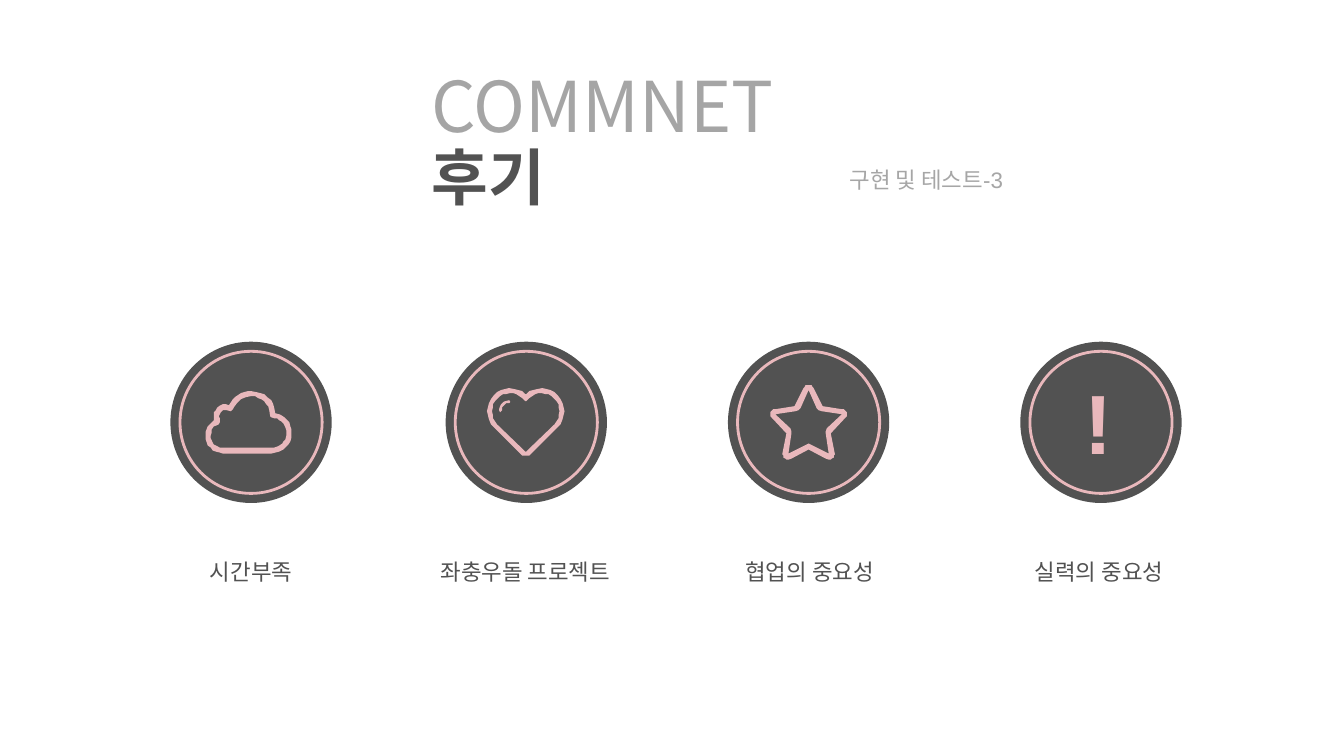
from dataclasses import dataclass

from pptx import Presentation
from pptx.dml.color import RGBColor
from pptx.enum.shapes import MSO_SHAPE
from pptx.enum.text import MSO_ANCHOR, MSO_AUTO_SIZE, PP_ALIGN
from pptx.shapes.base import BaseShape
from pptx.slide import Slide
from pptx.text.text import TextFrame, _Paragraph
from pptx.util import Inches, Pt

CHARCOAL, PINK, GRAY, LIGHT_GRAY = "525252", "E9B8BC", "A5A5A5", "A6A6A6"
DISC_MIDDLE = 4.19
DISC_SIZE, RING_SIZE = 1.6, 1.41
LABEL_TOP, LABEL_WIDTH, LABEL_HEIGHT = 5.49, 2.92, 0.45

Point = tuple[int, int]
Contour = list[Point]


@dataclass(frozen=True)
class Lesson:
    label: str
    center: float
    label_left: float
    icon: tuple[Contour, ...] = ()


def mirrored(half: Contour, double_axis: int) -> Contour:
    """Close a left half by reflecting it about x = double_axis / 2."""
    return half + [(double_axis - x, y) for x, y in reversed(half)]


# Icon outlines, in hundredths of an inch on the slide
CLOUD = (
    [(273, 410), (272, 405), (271, 401), (269, 397), (265, 394), (262, 391),
     (258, 390), (254, 389), (249, 388), (246, 388), (242, 389), (239, 390),
     (236, 392), (233, 394), (231, 396), (229, 399), (227, 402), (224, 401),
     (221, 401), (219, 402), (217, 403), (215, 405), (214, 407), (212, 409),
     (212, 417), (209, 420), (206, 423), (204, 428), (204, 436), (205, 439),
     (206, 442), (209, 444), (211, 447), (214, 448), (218, 449), (221, 450),
     (269, 450), (273, 449), (277, 448), (281, 446), (283, 444), (286, 441),
     (288, 438), (289, 434), (289, 426), (288, 423), (287, 419), (285, 417),
     (282, 414), (279, 412), (277, 411)],
    [(269, 444), (218, 444), (214, 442), (212, 441), (211, 439), (210, 437),
     (209, 435), (209, 432), (210, 429), (210, 426), (212, 423), (215, 422),
     (217, 421), (218, 419), (218, 415), (217, 413), (218, 411), (219, 409),
     (221, 407), (225, 407), (229, 408), (231, 406), (232, 404), (235, 400),
     (239, 396), (244, 394), (249, 393), (253, 393), (256, 395), (259, 396),
     (262, 398), (264, 401), (266, 403), (267, 407), (268, 413), (269, 414),
     (272, 415), (275, 415), (277, 417), (279, 418), (281, 420), (282, 422),
     (283, 424), (284, 427), (284, 432), (283, 436), (281, 438), (280, 440),
     (277, 442), (275, 443), (272, 444)],
)
HEART = (
    mirrored([(521, 391), (518, 388), (514, 387), (510, 386), (505, 385),
              (501, 386), (497, 387), (493, 389), (490, 392), (487, 396),
              (485, 400), (484, 404), (483, 408), (484, 412), (485, 416),
              (487, 421), (490, 424), (516, 450), (518, 452), (521, 452)], 1043),
    mirrored([(521, 398), (518, 395), (515, 393), (512, 391), (509, 390),
              (506, 390), (502, 391), (499, 391), (496, 393), (493, 396),
              (491, 398), (489, 401), (489, 404), (488, 408), (489, 412),
              (489, 415), (491, 418), (493, 421), (520, 447), (521, 448)], 1043),
)
HEART_GLINT = (
    [(505, 397), (501, 398), (499, 399), (498, 400), (497, 401), (496, 403),
     (495, 406), (495, 407), (496, 409), (498, 407), (498, 404), (500, 402),
     (502, 400), (505, 400), (506, 399), (506, 398)],
)
STAR = (
    mirrored([(802, 382), (800, 382), (799, 382), (798, 384), (797, 385),
              (788, 403), (769, 406), (767, 406), (766, 407), (765, 408),
              (764, 409), (764, 413), (766, 415), (780, 430), (776, 450),
              (776, 451), (777, 452), (777, 454), (779, 455), (780, 456),
              (782, 456), (785, 455), (802, 446)], 1604),
    mirrored([(802, 387), (794, 405), (792, 407), (789, 408), (769, 411),
              (784, 425), (785, 428), (785, 430), (782, 450), (800, 441),
              (802, 440)], 1604),
)

LESSONS = [
    Lesson("시간부족", 2.49, 1.03, CLOUD),
    Lesson("좌충우돌 프로젝트", 5.22, 3.75, HEART),
    Lesson("협업의 중요성", 8.02, 6.57, STAR),
    Lesson("실력의 중요성", 10.92, 9.44),
]


def color(value: str) -> RGBColor:
    return RGBColor.from_string(value)


def place(shape: BaseShape, left: float, top: float, width: float, height: float) -> None:
    shape.left, shape.top = Inches(left), Inches(top)
    shape.width, shape.height = Inches(width), Inches(height)


def add_run(paragraph: _Paragraph, text: str, size: int, font: str, fill: str,
            bold: bool = False) -> None:
    run = paragraph.add_run()
    run.text = text
    run.font.size, run.font.name, run.font.bold = Pt(size), font, bold
    run.font.color.rgb = color(fill)


def add_text_frame(slide: Slide, left: float, top: float, width: float, height: float,
                   wrap: bool = True) -> TextFrame:
    box = slide.shapes.add_textbox(Inches(left), Inches(top), Inches(width), Inches(height))
    box.text_frame.word_wrap = wrap
    box.text_frame.auto_size = MSO_AUTO_SIZE.SHAPE_TO_FIT_TEXT
    return box.text_frame


def add_title(slide: Slide) -> None:
    title = slide.shapes.title
    place(title, 4.18, 0.66, 5.04, 0.94)
    frame = title.text_frame
    frame.word_wrap = True
    frame.auto_size = MSO_AUTO_SIZE.SHAPE_TO_FIT_TEXT
    frame.vertical_anchor = MSO_ANCHOR.TOP
    heading = frame.paragraphs[0]
    heading.alignment = PP_ALIGN.LEFT
    heading.line_spacing = 0.9
    add_run(heading, "COMMNET", 50, "Noto Sans CJK KR", GRAY)
    heading.add_line_break()
    add_run(heading, "후기", 44, "Arial", CHARCOAL, bold=True)


def add_medallion(slide: Slide, center: float) -> None:
    """Draw a dark disc with a pink ring inside it, as one group."""
    medallion = slide.shapes.add_group_shape()
    for size, outlined in ((DISC_SIZE, False), (RING_SIZE, True)):
        circle = medallion.shapes.add_shape(
            MSO_SHAPE.OVAL, Inches(center - size / 2), Inches(DISC_MIDDLE - size / 2),
            Inches(size), Inches(size))
        circle.shadow.inherit = False
        circle.fill.solid()
        circle.fill.fore_color.rgb = color(CHARCOAL)
        if outlined:
            circle.line.color.rgb = color(PINK)
            circle.line.width = Pt(2)
        else:
            circle.line.fill.background()


def add_icon(slide: Slide, contours: tuple[Contour, ...]) -> None:
    outer, *holes = contours
    builder = slide.shapes.build_freeform(*outer[0], scale=Inches(0.01))
    builder.add_line_segments(outer[1:], close=True)
    for hole in holes:
        builder.move_to(*hole[0])
        builder.add_line_segments(hole[1:], close=True)
    icon = builder.convert_to_shape()
    icon.shadow.inherit = False
    icon.fill.solid()
    icon.fill.fore_color.rgb = color(PINK)
    icon.line.fill.background()


def add_lesson(slide: Slide, lesson: Lesson) -> None:
    add_medallion(slide, lesson.center)
    if lesson.icon:
        add_icon(slide, lesson.icon)
    label = add_text_frame(slide, lesson.label_left, LABEL_TOP, LABEL_WIDTH, LABEL_HEIGHT)
    label.paragraphs[0].alignment = PP_ALIGN.CENTER
    add_run(label.paragraphs[0], lesson.label, 16, "Lato", CHARCOAL)


def main() -> None:
    presentation = Presentation()
    presentation.slide_width, presentation.slide_height = Inches(13.33), Inches(7.5)
    slide = presentation.slides.add_slide(presentation.slide_layouts[5])
    add_title(slide)
    section = add_text_frame(slide, 8.33, 1.6, 1.98, 0.37)
    add_run(section.paragraphs[0], "구현 및 테스트-3", 16, "Arial", LIGHT_GRAY)
    for lesson in LESSONS:
        add_lesson(slide, lesson)
    add_icon(slide, HEART_GLINT)
    exclamation = add_text_frame(slide, 10.66, 3.63, 0.47, 1.11, wrap=False)
    add_run(exclamation.paragraphs[0], "!", 60, "Arial", PINK, bold=True)
    presentation.save("out.pptx")


if __name__ == "__main__":
    main()
